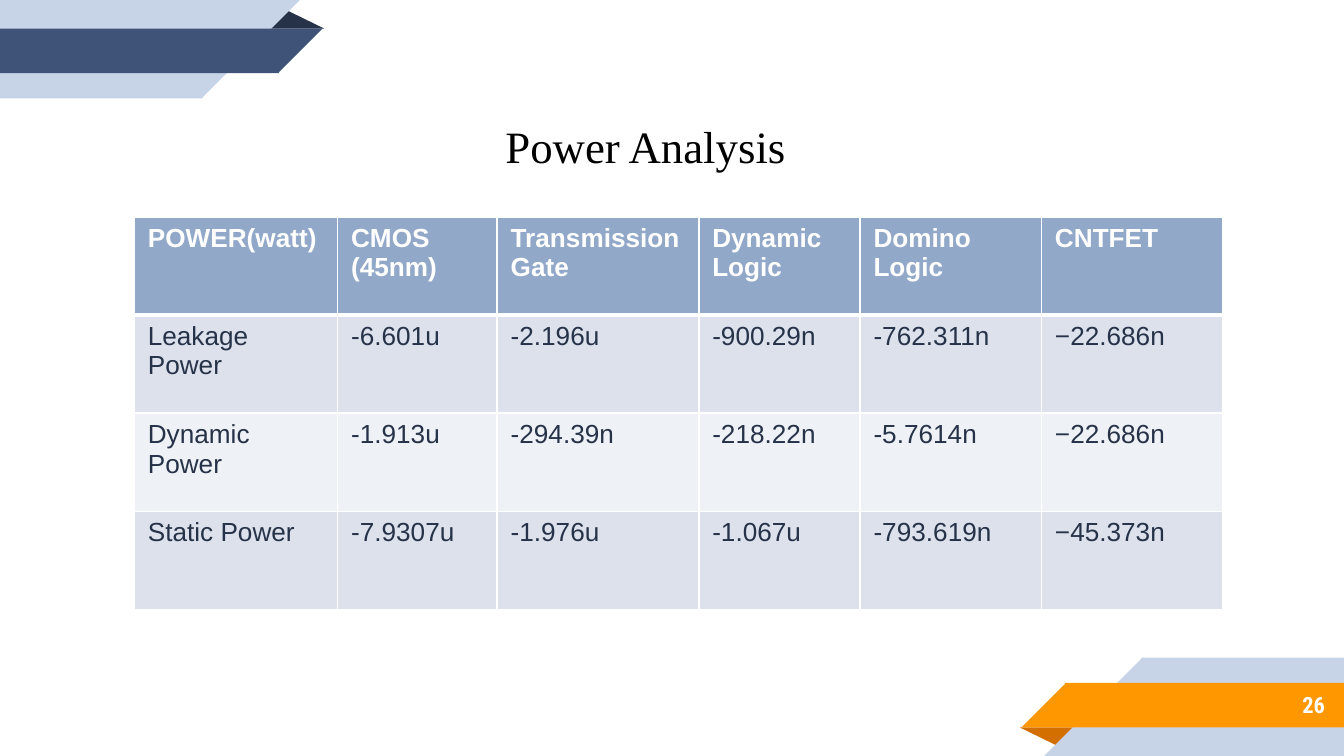
from dataclasses import dataclass

from lxml.etree import SubElement
from pptx import Presentation
from pptx.dml.color import RGBColor
from pptx.enum.shapes import MSO_SHAPE
from pptx.enum.text import MSO_ANCHOR, PP_ALIGN
from pptx.oxml.ns import qn
from pptx.slide import Slide
from pptx.table import _Cell
from pptx.util import Emu, Pt

EMU_PER_PX = 5715
SLIDE_WIDTH, SLIDE_HEIGHT = 1600, 900

WHITE, BLACK, NAVY = "FFFFFF", "000000", "263248"
PALE_BLUE, BLUE = "C7D3E6", "3F5378"
ORANGE, DARK_ORANGE = "FF9800", "D26F00"
HEADER_FILL, ROW_FILLS = "92A8C8", ("DCE1EB", "EEF1F5")

COLUMN_WIDTHS = (242, 190, 240, 192, 216, 216)
ROW_HEIGHT = 117
ROWS = (
    ("POWER(watt)", "CMOS\n(45nm)", "Transmission Gate", "Dynamic Logic", "Domino Logic", "CNTFET"),
    ("Leakage Power", "-6.601u", "-2.196u", "-900.29n", "-762.311n", "−22.686n"),
    ("Dynamic Power", "-1.913u", "-294.39n", "-218.22n", "-5.7614n", "−22.686n"),
    ("Static Power", "-7.9307u", "-1.976u", "-1.067u", "-793.619n", "−45.373n"),
)


@dataclass(frozen=True)
class Box:
    left: int
    top: int
    width: int
    height: int

    def half_turn(self) -> "Box":
        return Box(SLIDE_WIDTH - self.left - self.width,
                   SLIDE_HEIGHT - self.top - self.height, self.width, self.height)

    def emu(self) -> tuple[Emu, ...]:
        return tuple(px(value) for value in (self.left, self.top, self.width, self.height))


@dataclass(frozen=True)
class RibbonPart:
    kind: MSO_SHAPE
    box: Box
    role: str


@dataclass(frozen=True)
class TextStyle:
    size: int
    font: str
    color: str
    bold: bool = False


RIBBON = (
    RibbonPart(MSO_SHAPE.ISOSCELES_TRIANGLE, Box(317, 11, 69, 23), "fold"),
    RibbonPart(MSO_SHAPE.RECTANGLE, Box(0, 0, 241, 117), "back"),
    RibbonPart(MSO_SHAPE.RIGHT_TRIANGLE, Box(240, 0, 117, 117), "back"),
    RibbonPart(MSO_SHAPE.RECTANGLE, Box(0, 34, 332, 53), "band"),
    RibbonPart(MSO_SHAPE.RIGHT_TRIANGLE, Box(331, 34, 53, 53), "band"),
)


def px(value: int) -> Emu:
    return Emu(value * EMU_PER_PX)


def rgb(color: str) -> RGBColor:
    return RGBColor.from_string(color)


def draw_ribbon(slide: Slide, colors: dict[str, str], at_bottom: bool) -> None:
    for part in RIBBON:
        box = part.box.half_turn() if at_bottom else part.box
        shape = slide.shapes.add_shape(part.kind, *box.emu())
        shape.shadow.inherit = False
        shape.fill.solid()
        shape.fill.fore_color.rgb = rgb(colors[part.role])
        shape.line.fill.background()
        is_fold = part.role == "fold"
        if is_fold:
            shape.adjustments[0] = 0.32
        else:
            shape._element.spPr.find(qn("a:xfrm")).set("flipH", "1")
        shape.rotation = 180 if is_fold == at_bottom else 0


def style_text(text_frame, style: TextStyle) -> None:
    for paragraph in text_frame.paragraphs:
        for run in paragraph.runs:
            run.font.size = Pt(style.size)
            run.font.name = style.font
            run.font.bold = style.bold
            run.font.color.rgb = rgb(style.color)


def draw_text(slide: Slide, box: Box, text: str, style: TextStyle):
    text_frame = slide.shapes.add_textbox(*box.emu()).text_frame
    text_frame.text = text
    style_text(text_frame, style)
    return text_frame


def set_borders(cell: _Cell, top: int, bottom: int) -> None:
    properties = cell._tc.get_or_add_tcPr()
    for side, width in (("L", 1), ("R", 1), ("T", top), ("B", bottom)):
        line = SubElement(properties, qn(f"a:ln{side}"), w=str(Pt(width)))
        SubElement(SubElement(line, qn("a:solidFill")), qn("a:srgbClr"), val=WHITE)


def draw_power_table(slide: Slide) -> None:
    box = Box(160, 258, sum(COLUMN_WIDTHS), ROW_HEIGHT * len(ROWS))
    table = slide.shapes.add_table(len(ROWS), len(COLUMN_WIDTHS), *box.emu()).table
    for column, width in zip(table.columns, COLUMN_WIDTHS):
        column.width = px(width)
    for row_index, values in enumerate(ROWS):
        is_header = row_index == 0
        fill = HEADER_FILL if is_header else ROW_FILLS[(row_index - 1) % 2]
        style = TextStyle(14, "Arial", WHITE if is_header else NAVY, is_header)
        table.rows[row_index].height = px(ROW_HEIGHT)
        for column_index, value in enumerate(values):
            cell = table.cell(row_index, column_index)
            cell.text_frame.text = value
            style_text(cell.text_frame, style)
            set_borders(cell, 3 if row_index == 1 else 1, 3 if is_header else 1)
            cell.fill.solid()
            cell.fill.fore_color.rgb = rgb(fill)


def main() -> None:
    presentation = Presentation()
    presentation.slide_width = px(SLIDE_WIDTH)
    presentation.slide_height = px(SLIDE_HEIGHT)
    slide = presentation.slides.add_slide(presentation.slide_layouts[6])

    draw_ribbon(slide, {"fold": NAVY, "back": PALE_BLUE, "band": BLUE}, at_bottom=False)
    draw_ribbon(slide, {"fold": DARK_ORANGE, "back": PALE_BLUE, "band": ORANGE}, at_bottom=True)

    number = draw_text(slide, Box(1333, 811, 260, 56), "26",
                       TextStyle(12, "Roboto Condensed", WHITE, True))
    number.word_wrap = True
    number.vertical_anchor = MSO_ANCHOR.MIDDLE
    number.margin_top = number.margin_bottom = px(16)
    number.paragraphs[0].alignment = PP_ALIGN.RIGHT

    title = draw_text(slide, Box(586, 133, 446, 150), "Power Analysis",
                      TextStyle(24, "Times New Roman", BLACK))
    title.word_wrap = False

    draw_power_table(slide)
    presentation.save("out.pptx")


if __name__ == "__main__":
    main()
